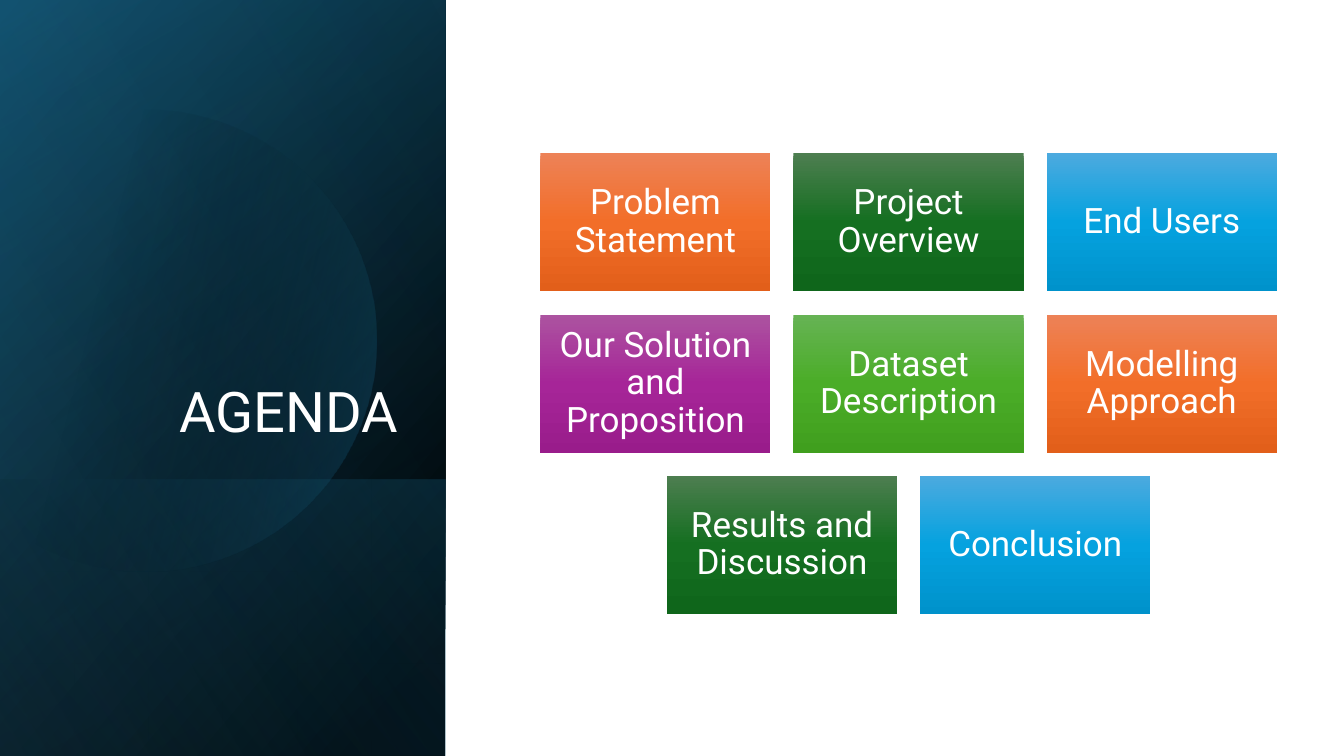
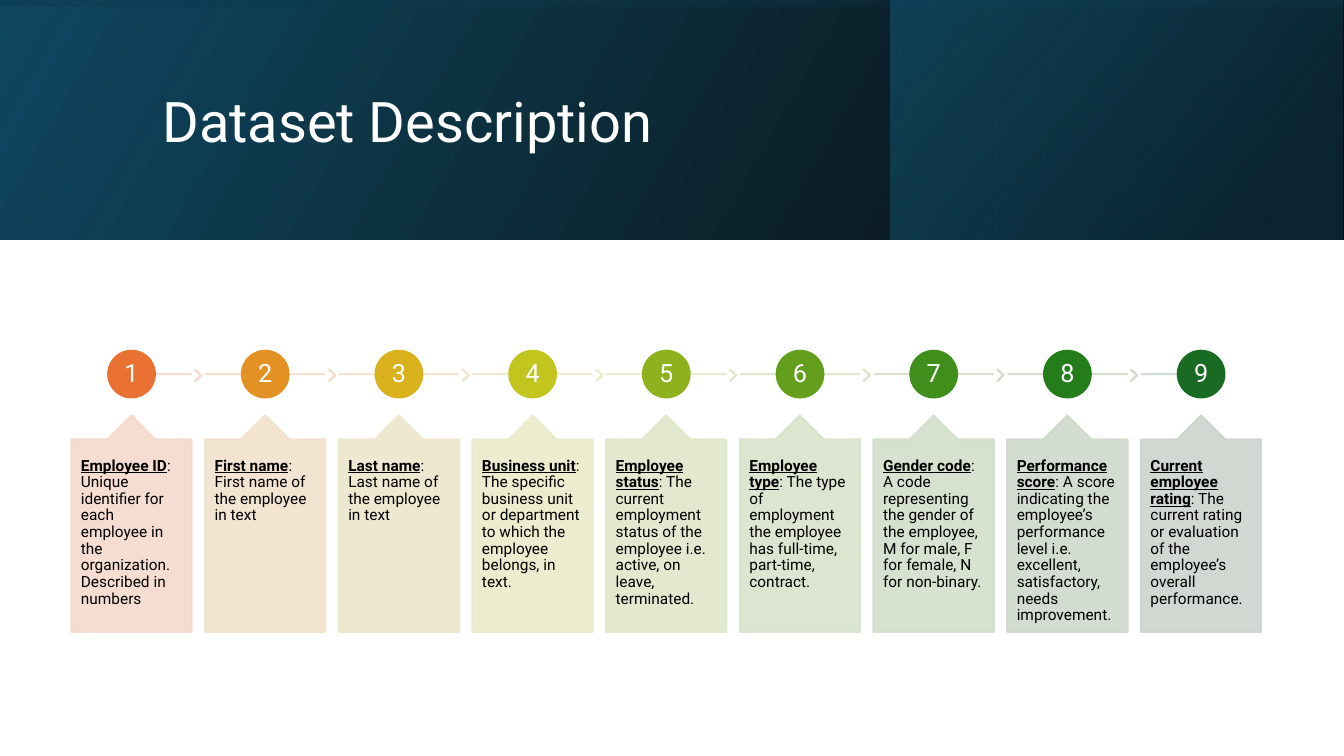
from math import acos, cos, degrees, radians, sin

from lxml.etree import SubElement
from pptx import Presentation
from pptx.dml.color import RGBColor
from pptx.enum.shapes import MSO_CONNECTOR, MSO_SHAPE as Preset
from pptx.enum.text import MSO_ANCHOR as Anchor, PP_ALIGN as Align
from pptx.oxml.ns import qn
from pptx.util import Pt

# Shared style
FONT = "Roboto"
WIDTH, HEIGHT = 960, 540
color = RGBColor.from_string
WHITE, BLACK = color("FFFFFF"), color("000000")
NAVY, TEAL, SKY, DEEP = map(color, ("104862", "156082", "46B1E1", "0B3041"))
PALE_OPACITY = 90

# Tile gradients: top, middle, bottom
ORANGE = [color(c) for c in ("ED8257", "F26E29", "E25F1A")]
FOREST = [color(c) for c in ("4D7E50", "156F21", "0F661B")]
BLUE = [color(c) for c in ("4CAADF", "05A2DF", "0092CB")]
PURPLE = [color(c) for c in ("AC53A0", "A62598", "991C8B")]
GREEN = [color(c) for c in ("66B354", "4BAD28", "409F1E")]

AGENDA_ROWS = [
    [("Problem Statement", ORANGE), ("Project Overview", FOREST), ("End Users", BLUE)],
    [("Our Solution and Proposition", PURPLE), ("Dataset Description", GREEN),
     ("Modelling Approach", ORANGE)],
    [("Results and Discussion", FOREST), ("Conclusion", BLUE)],
]

FIELDS = [
    ("Employee ID", "Unique identifier for each employee in the organization. Described in numbers"),
    ("First name", "First name of the employee in text"),
    ("Last name", "Last name of the employee in text"),
    ("Business unit", "The specific business unit or department to which the employee belongs, in text."),
    ("Employee status", "The current employment status of the employee i.e. active, on leave, terminated."),
    ("Employee type", "The type of employment the employee has full-time, part-time, contract."),
    ("Gender code", "A code representing the gender of the employee, M for male, F for female, "
                    "N for non-binary."),
    ("Performance score", "A score indicating the employee’s performance level i.e. excellent, "
                          "satisfactory, needs improvement."),
    ("Current employee rating", "The current rating or evaluation of the employee’s overall performance."),
]
CIRCLE_COLORS = [color(c) for c in (
    "E97132", "E49124", "D8B11D", "C2C51E", "8EB21E", "639F1D", "408E1C", "247C1B", "196B24")]
LINE_COLORS = [color(c) for c in (
    "F7D5CE", "F4DCCC", "F1E2CB", "EDE7CB", "E8E9CA", "DEE5CA", "D6E1CA", "D0DCCB", "CDD8CC")]
CHEVRON_COLORS = [color(c) for c in (
    "F6D7CD", "F3DECC", "EFE4CB", "ECE9CA", "E5E8CA", "DBE4CA", "D4E0CA", "CFDBCB")]
CARD_COLORS = [color(c) for c in (
    "F5DACD", "F2E0CC", "EEE6CB", "EBEACA", "E1E7CA", "D9E3CA", "D2DECB", "CED9CB", "CCD4CD")]


def apply(target, values):
    for name, value in values.items():
        setattr(target, name, value)


class Deck:
    def __init__(self):
        self.presentation = Presentation()
        apply(self.presentation, {"slide_width": Pt(WIDTH), "slide_height": Pt(HEIGHT)})
        self.slide = None

    def add_slide(self):
        self.slide = self.presentation.slides.add_slide(self.presentation.slide_layouts[6])

    def fade(self, shape, opacity):
        for rgb in shape.element.spPr.iter(qn("a:srgbClr")):
            SubElement(rgb, qn("a:alpha"), val=str(opacity * 1000))

    def gradient(self, shape, stops, angle):
        """Stops are (position, color, opacity); angle is clockwise."""
        shape.shadow.inherit = False
        shape.line.fill.background()
        shape.fill.gradient()
        gradient = shape.element.spPr.find(qn("a:gradFill"))
        stop_list = gradient.find(qn("a:gsLst"))
        for old in list(stop_list):
            stop_list.remove(old)
        for position, rgb, opacity in stops:
            stop = SubElement(stop_list, qn("a:gs"), pos=str(position * 1000))
            node = SubElement(stop, qn("a:srgbClr"), val=str(rgb))
            if opacity < 100:
                SubElement(node, qn("a:alpha"), val=str(opacity * 1000))
        direction = gradient.find(qn("a:lin"))
        direction.set("ang", str(angle * 60000))
        direction.set("scaled", "0")

    def shape(self, preset, left, top, width, height, adjustments=()):
        shape = self.slide.shapes.add_shape(preset, Pt(left), Pt(top), Pt(width), Pt(height))
        shape.shadow.inherit = False
        for index, value in enumerate(adjustments):
            shape.adjustments[index] = value
        return shape

    def band(self, left, top, width, height, stops, angle, rotation=0):
        """Mirrored gradient band; the box is the area it covers once rotated."""
        across, down = (height, width) if rotation else (width, height)
        band = self.shape(Preset.RECTANGLE, left + (width - across) / 2,
                          top + (height - down) / 2, across, down)
        band.rotation = rotation
        band.element.spPr.find(qn("a:xfrm")).set("flipH", "1")
        self.gradient(band, stops, angle)

    def disc(self, center_x, center_y, radius, stops, angle):
        """Circle cut off at the left edge of the slide."""
        limit = degrees(acos(-center_x / radius))
        turns = [radians(limit * step / 60) for step in range(-60, 61)]
        points = [(Pt(center_x + radius * cos(t)), Pt(center_y + radius * sin(t))) for t in turns]
        builder = self.slide.shapes.build_freeform(*points[0])
        builder.add_line_segments(points[1:], close=True)
        self.gradient(builder.convert_to_shape(), stops, angle)

    def solid(self, preset, box, rgb, opacity=100, adjustments=()):
        shape = self.shape(preset, *box, adjustments)
        for fill in (shape.fill, shape.line.fill):
            fill.solid()
            fill.fore_color.rgb = rgb
        shape.line.width = Pt(1.5)
        if opacity < 100:
            self.fade(shape, opacity)
        return shape

    def line(self, start, end, y, rgb):
        line = self.slide.shapes.add_connector(
            MSO_CONNECTOR.STRAIGHT, Pt(start), Pt(y), Pt(end), Pt(y))
        line.line.color.rgb = rgb
        line.line.width = Pt(1.5)
        self.fade(line, PALE_OPACITY)
        SubElement(line.element.spPr, qn("a:effectLst"))

    def text(self, shape, runs, size, rgb=WHITE, align=Align.CENTER,
             anchor=Anchor.MIDDLE, inset=(7.2, 7.2)):
        """Runs are (text, font values)."""
        side, end = map(Pt, inset)
        frame = shape.text_frame
        apply(frame, {"word_wrap": True, "vertical_anchor": anchor, "margin_left": side,
                      "margin_right": side, "margin_top": end, "margin_bottom": end})
        paragraph = frame.paragraphs[0]
        apply(paragraph, {"alignment": align, "line_spacing": 0.9})
        for text, values in runs:
            run = paragraph.add_run()
            run.text = text
            apply(run.font, {"name": FONT, "size": Pt(size), **values})
            run.font.color.rgb = rgb

    def title(self, text, left, top, width, height, align, anchor):
        box = self.slide.shapes.add_textbox(Pt(left), Pt(top), Pt(width), Pt(height))
        self.text(box, [(text, {})], 40, WHITE, align, anchor, (7.2, 3.6))

    def tile(self, text, colors, left, top, width, height):
        tile = self.shape(Preset.RECTANGLE, left, top, width, height)
        self.gradient(tile, [(i * 50, rgb, 100) for i, rgb in enumerate(colors)], 90)
        self.text(tile, [(text, {})], 25)


def agenda_slide(deck):
    deck.add_slide()
    # Side panel
    panel = (0, 0, 318.2, HEIGHT)
    deck.band(*panel, [(8, BLACK, 100), (100, NAVY, 100)], 50, 90)
    deck.band(*panel, [(0, BLACK, 0), (99, TEAL, 46)], 30, 90)
    deck.band(0, 342.7, 318.2, 197.3, [(2, TEAL, 29), (100, BLACK, 30)], 130, 90)
    deck.disc(103.7, 243.4, 164.9, [(29, BLACK, 0), (100, TEAL, 43)], 14)
    deck.band(*panel, [(0, BLACK, 0), (99, SKY, 11)], 120, 90)
    deck.title("AGENDA", 46, 132.5, 245.5, 188.6, Align.RIGHT, Anchor.BOTTOM)

    # Tiles, each row centred
    width, height, gap, center, top = 164.4, 98.64, 16.44, 649, 109.6
    for row, tiles in enumerate(AGENDA_ROWS):
        left = center - (len(tiles) * (width + gap) - gap) / 2
        for column, (text, colors) in enumerate(tiles):
            deck.tile(text, colors, left + column * (width + gap),
                      top + row * (height + gap), width, height)


def dataset_slide(deck):
    deck.add_slide()
    # Header
    header = (0, 0, WIDTH, 171)
    deck.band(*header, [(0, BLACK, 96), (100, NAVY, 100)], 330)
    deck.band(636, 0, 323, 171, [(19, DEEP, 68), (100, TEAL, 48)], 320)
    deck.band(*header, [(23, NAVY, 16), (99, BLACK, 45)], 350, 270)
    deck.title("Dataset Description", 109, 27.2, 765, 124, Align.LEFT, Anchor.MIDDLE)

    # Numbered timeline with a card below each step
    first, pitch, width, axis, diameter = 51, 95.5, 85.9, 267.2, 33.3
    last = len(FIELDS) - 1
    for index, (name, description) in enumerate(FIELDS):
        left = first + index * pitch
        middle = left + width / 2
        deck.line(left if index else middle, left + width if index < last else middle,
                  axis, LINE_COLORS[index])
        if index < last:
            deck.solid(Preset.CHEVRON, (left + 88.4, axis - 3.1, 4.6, 7.9),
                       CHEVRON_COLORS[index], PALE_OPACITY, [0.9])
        circle = deck.solid(Preset.OVAL, (middle - diameter / 2, axis - diameter / 2,
                                          diameter, diameter), CIRCLE_COLORS[index])
        deck.text(circle, [(str(index + 1), {})], 18, inset=(1.3, 1.3))
        card = deck.solid(Preset.UP_ARROW_CALLOUT, (left, 296.8, width, 154.6),
                          CARD_COLORS[index], PALE_OPACITY, [0.5, 0.2, 0.2, 1])
        deck.text(card, [(name, {"bold": True, "underline": True}), (": " + description, {})],
                  11, BLACK, Align.LEFT, Anchor.TOP, (6.8, 13))


def main():
    deck = Deck()
    agenda_slide(deck)
    dataset_slide(deck)
    deck.presentation.save("out.pptx")


if __name__ == "__main__":
    main()
